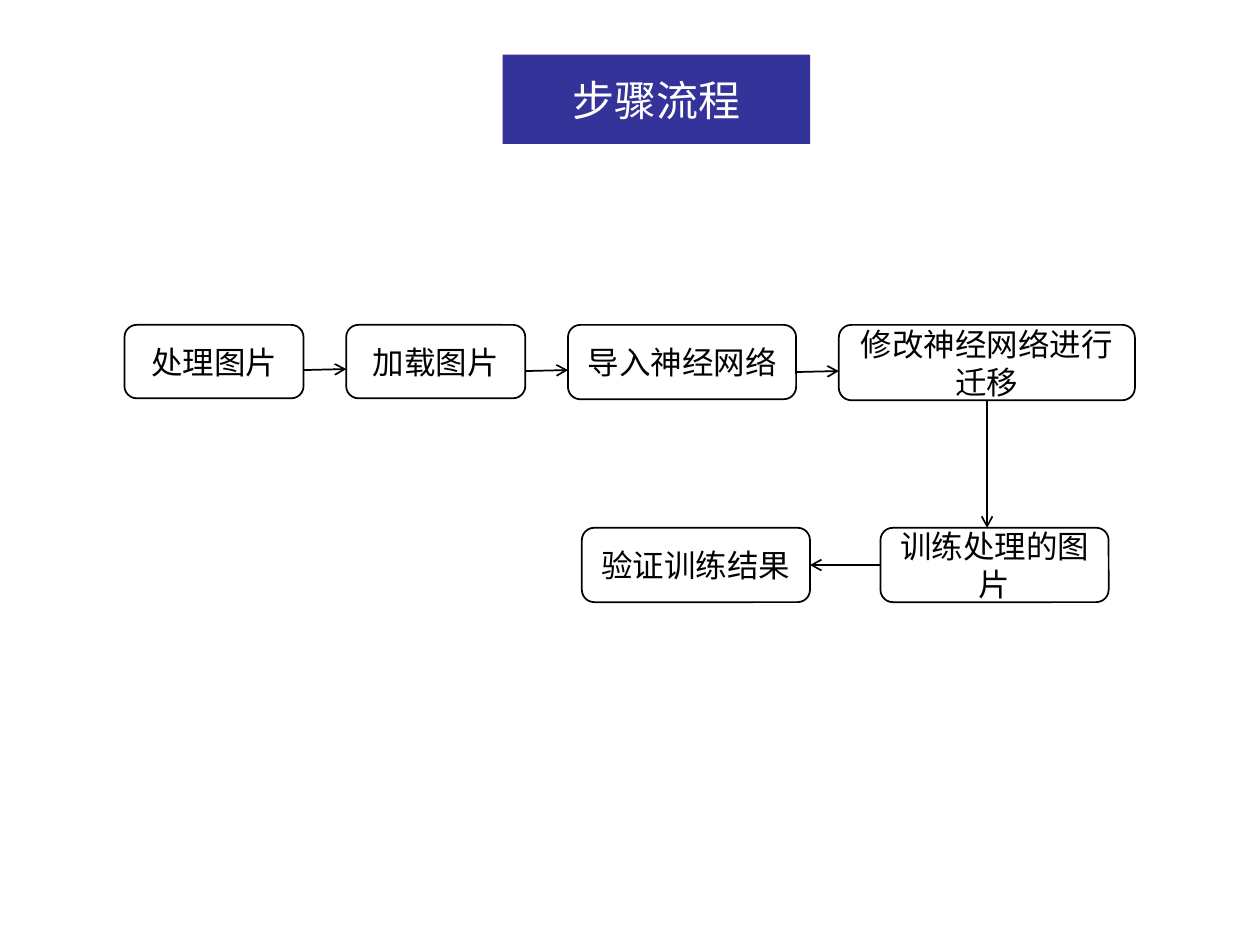
from lxml.etree import SubElement
from pptx import Presentation
from pptx.dml.color import RGBColor
from pptx.enum.shapes import MSO_CONNECTOR as Link, MSO_SHAPE as Shape
from pptx.enum.text import MSO_ANCHOR as Anchor, MSO_AUTO_SIZE as AutoSize, PP_ALIGN as Align
from pptx.oxml.ns import qn
from pptx.util import Cm, Pt

LEFT, BOTTOM, RIGHT = 1, 2, 3


def color(value):
    return RGBColor.from_string(value)


class FlowSlide:
    """Hold the flow chart style and the page being drawn."""

    ink, paper, accent = "000000", "FFFFFF", "333399"
    font, title_font = "Arial", "Noto Sans CJK SC"

    def __init__(self, deck):
        self.page = deck.slides.add_slide(deck.slide_layouts[5])

    def label(self, box, text, size, font, ink):
        frame = box.text_frame
        frame.word_wrap = True
        frame.auto_size = AutoSize.NONE
        frame.vertical_anchor = Anchor.MIDDLE
        para = frame.paragraphs[0]
        para.alignment = Align.CENTER
        span = para.add_run()
        span.text = text
        span.font.size = Pt(size)
        span.font.name = font
        span.font.color.rgb = color(ink)

    def title(self, text, left, top, width, height):
        box = self.page.shapes.title
        box.left, box.top, box.width, box.height = map(Cm, (left, top, width, height))
        outline = SubElement(box.element.spPr, qn("a:prstGeom"), prst="roundRect")
        SubElement(outline, qn("a:avLst"))
        box.fill.solid()
        box.fill.fore_color.rgb = color(self.accent)
        self.label(box, text, 24, self.title_font, self.paper)

    def step(self, text, left, top, width, height):
        box = self.page.shapes.add_shape(
            Shape.ROUNDED_RECTANGLE, *map(Cm, (left, top, width, height)))
        box.shadow.inherit = False
        box.fill.solid()
        box.fill.fore_color.rgb = color(self.paper)
        box.line.color.rgb = color(self.ink)
        box.line.width = Pt(1)
        self.label(box, text, 18, self.font, self.ink)
        return box

    def arrow(self, x1, y1, x2, y2):
        arrow = self.page.shapes.add_connector(
            Link.STRAIGHT, *map(Cm, (x1, y1, x2, y2)))
        arrow.line.color.rgb = color(self.ink)
        arrow.line.width = Pt(1)
        properties = arrow.element.spPr
        SubElement(properties.find(qn("a:ln")), qn("a:tailEnd"), type="arrow")
        SubElement(properties, qn("a:effectLst"))
        return arrow


def main():
    deck = Presentation()
    deck.slide_width, deck.slide_height = Cm(25.4), Cm(19.05)
    slide = FlowSlide(deck)
    slide.title("步骤流程", 10.13, 1.1, 6.2, 1.8)

    gap, left, row_top, arrow_y = 0.86, 2.51, 6.55, 7.44
    steps = [("处理图片", 3.61, 1.48), ("加载图片", 3.61, 1.48),
             ("导入神经网络", 4.6, 1.5), ("修改神经网络进行迁移", 5.97, 1.52)]
    for index, (text, width, height) in enumerate(steps):
        if index:
            start_y = arrow_y + 0.02 * index
            slide.arrow(left - gap, start_y, left, start_y - 0.02)
        migrate = slide.step(text, left, row_top, width, height)
        left += width + gap

    next_top, width, height = 10.64, 4.6, 1.5
    train = slide.step("训练处理的图片", 17.75, next_top, width, height)
    verify = slide.step("验证训练结果", 11.73, next_top, width, height)
    down = slide.arrow(19.9, row_top + 1.52, 19.9, next_top)
    down.begin_connect(migrate, BOTTOM)
    back = slide.arrow(17.75, 11.39, 16.33, 11.39)
    back.begin_connect(train, LEFT)
    back.end_connect(verify, RIGHT)
    deck.save("out.pptx")


if __name__ == "__main__":
    main()
